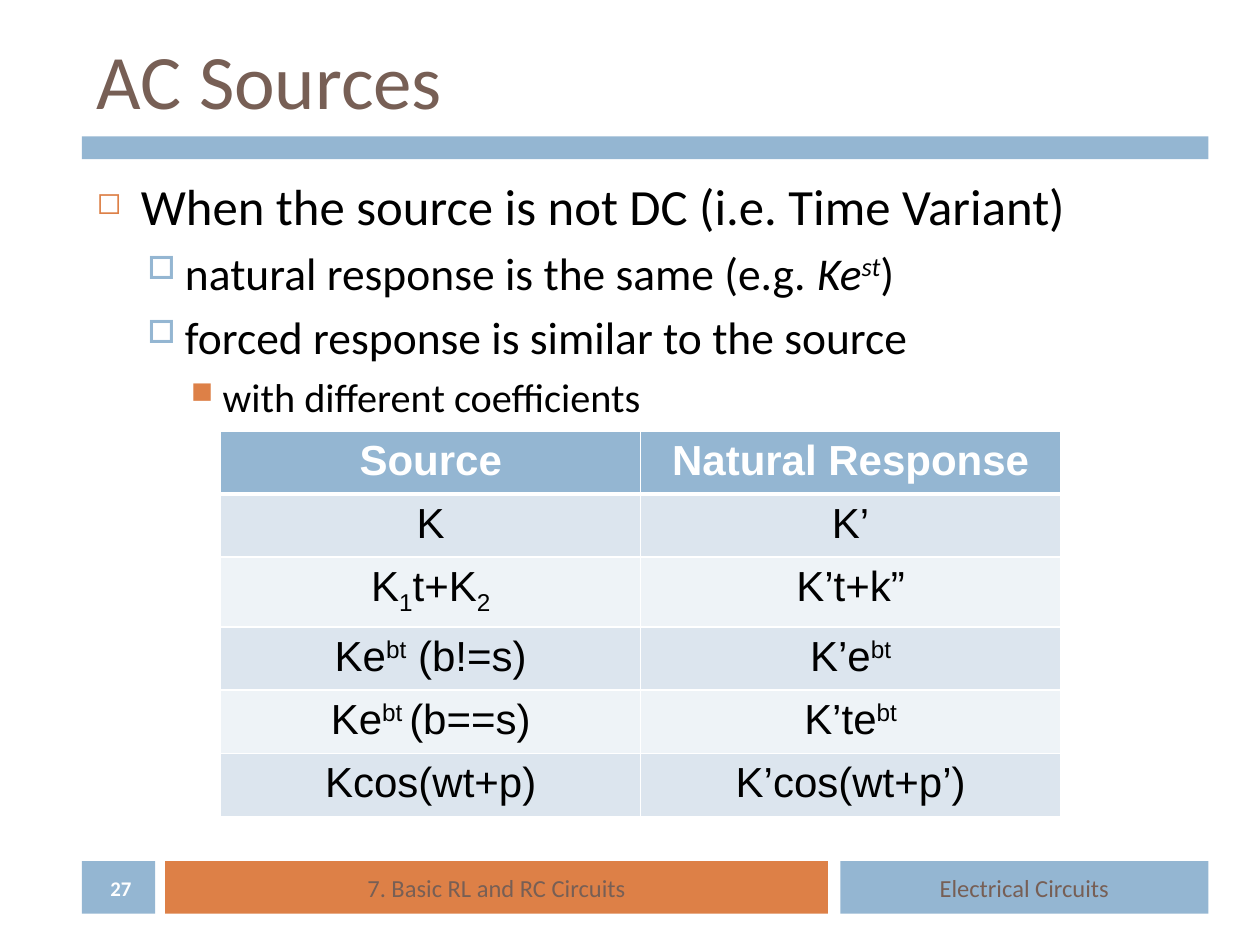
from dataclasses import dataclass

from lxml import etree
from pptx import Presentation
from pptx.dml.color import RGBColor
from pptx.enum.shapes import MSO_SHAPE
from pptx.enum.text import MSO_ANCHOR, PP_ALIGN
from pptx.oxml.ns import qn
from pptx.util import Cm, Pt

RECTANGLE = MSO_SHAPE.RECTANGLE
MIDDLE, TOP = MSO_ANCHOR.MIDDLE, MSO_ANCHOR.TOP
CENTER, LEFT = PP_ALIGN.CENTER, PP_ALIGN.LEFT


@dataclass(frozen=True)
class Theme:
    blue: str = "94B6D2"
    orange: str = "DD8047"
    brown: str = "775F55"
    black: str = "000000"
    white: str = "FFFFFF"
    bands: tuple = ("DCE5EE", "EEF3F7")
    text_font: str = "Calibri"
    table_font: str = "Arial"
    title_size: float = 44
    footer_size: float = 14
    number_size: float = 11.9
    table_size: float = 24
    body_sizes: tuple = (29, 26, 23)


THEME = Theme()
SUPER, SUB = {"baseline": 30}, {"baseline": -25}
ITALIC = {"italic": True}

LEVELS = (
    {"indent": (0.89, -0.89), "before": 7, "bullet": "◻", "color": THEME.orange, "percent": 60},
    {"indent": (1.78, -0.76), "before": 5.5, "bullet": "□", "color": THEME.blue, "percent": 70},
    {"indent": (2.54, -0.64), "before": 5, "bullet": "■", "color": THEME.orange, "percent": 75},
)
BODY = (
    (0, [("When the source is not DC (i.e. Time Variant)", {})]),
    (1, [("natural response is the same (e.g. ", {}), ("Ke", ITALIC),
         ("st", ITALIC | SUPER), (")", {})]),
    (1, [("forced response is similar to the source", {})]),
    (2, [("with different coefficients", {})]),
)
RESPONSES = (
    ([("Source", {})], [("Natural Response", {})]),
    ([("K", {})], [("K’", {})]),
    ([("K", {}), ("1", SUB), ("t+K", {}), ("2", SUB)], [("K’t+k”", {})]),
    ([("Ke", {}), ("bt", SUPER), (" (b!=s)", {})], [("K’e", {}), ("bt", SUPER)]),
    ([("Ke", {}), ("bt ", SUPER), ("(b==s)", {})], [("K’te", {}), ("bt", SUPER)]),
    ([("Kcos(wt+p)", {})], [("K’cos(wt+p’)", {})]),
)


def add_runs(paragraph, runs, size, color, font=THEME.text_font, bold=False):
    for text, extra in runs:
        run = paragraph.add_run()
        run.text = text
        values = {"name": font, "size": Pt(size), "bold": bold,
                  "italic": extra.get("italic", False)}
        for name, value in values.items():
            setattr(run.font, name, value)
        run.font.color.rgb = RGBColor.from_string(color)
        if "baseline" in extra:
            run._r.get_or_add_rPr().set("baseline", str(extra["baseline"] * 1000))


def add_bar(slide, box, color, label=None):
    shape = slide.shapes.add_shape(RECTANGLE, *map(Cm, box))
    shape.shadow.inherit = False
    shape.fill.solid()
    shape.fill.fore_color.rgb = RGBColor.from_string(color)
    shape.line.fill.background()
    if label:
        shape.text_frame.vertical_anchor = MIDDLE
        paragraph = shape.text_frame.paragraphs[0]
        paragraph.alignment = CENTER
        add_runs(paragraph, [(label, {})], THEME.footer_size, THEME.brown)


def add_text_frame(slide, box, anchor):
    frame = slide.shapes.add_textbox(*map(Cm, box)).text_frame
    frame.word_wrap = True
    frame.vertical_anchor = anchor
    return frame


def add_label(slide, box, text, size, color, alignment=LEFT, bold=False):
    paragraph = add_text_frame(slide, box, MIDDLE).paragraphs[0]
    paragraph.alignment = alignment
    add_runs(paragraph, [(text, {})], size, color, bold=bold)


def set_bullet(paragraph, level):
    style = LEVELS[level]
    paragraph.level = level
    paragraph.space_before = Pt(style["before"])
    properties = paragraph._p.get_or_add_pPr()
    for name, length in zip(("marL", "indent"), style["indent"]):
        properties.set(name, str(Cm(length)))
    color = etree.SubElement(properties, qn("a:buClr"))
    etree.SubElement(color, qn("a:srgbClr"), val=style["color"])
    etree.SubElement(properties, qn("a:buSzPct"), val=str(style["percent"] * 1000))
    etree.SubElement(properties, qn("a:buChar"), char=style["bullet"])


def add_outline(slide, box, items):
    frame = add_text_frame(slide, box, TOP)
    for index, (level, runs) in enumerate(items):
        paragraph = frame.add_paragraph() if index else frame.paragraphs[0]
        set_bullet(paragraph, level)
        add_runs(paragraph, runs, THEME.body_sizes[level], THEME.black)


def set_borders(cell, row):
    widths = {"L": 1, "R": 1, "T": 3 if row == 1 else 1, "B": 1 if row else 3}
    properties = cell._tc.get_or_add_tcPr()
    for index, (side, width) in enumerate(widths.items()):
        line = etree.Element(qn(f"a:ln{side}"), w=str(Pt(width)))
        fill = etree.SubElement(line, qn("a:solidFill"))
        etree.SubElement(fill, qn("a:srgbClr"), val=THEME.white)
        properties.insert(index, line)


def add_response_table(slide, box, rows, row_height):
    table = slide.shapes.add_table(len(rows), len(rows[0]), *map(Cm, box)).table
    for row, contents in enumerate(rows):
        table.rows[row].height = Cm(row_height)
        header = row == 0
        fill = THEME.blue if header else THEME.bands[(row - 1) % 2]
        color = THEME.white if header else THEME.black
        for column, runs in enumerate(contents):
            cell = table.cell(row, column)
            cell.fill.solid()
            cell.fill.fore_color.rgb = RGBColor.from_string(fill)
            set_borders(cell, row)
            paragraph = cell.text_frame.paragraphs[0]
            paragraph.alignment = CENTER
            add_runs(paragraph, runs, THEME.table_size, color, THEME.table_font, header)


def main():
    presentation = Presentation()
    presentation.slide_width, presentation.slide_height = Cm(25.4), Cm(19.05)
    slide = presentation.slides.add_slide(presentation.slide_layouts[6])

    footer_top, footer_height = 17.36, 1.06
    add_bar(slide, (1.65, footer_top, 1.48, footer_height), THEME.blue)
    add_bar(slide, (1.65, 2.75, 22.71, 0.46), THEME.blue)
    add_label(slide, (1.7, 0.64, 22.66, 1.9), "AC Sources", THEME.title_size, THEME.brown)
    add_outline(slide, (1.7, 3.39, 22.66, 13.55), BODY)
    add_bar(slide, (16.94, footer_top, 7.42, footer_height), THEME.blue, "Electrical Circuits")
    add_bar(slide, (3.33, footer_top, 13.36, footer_height), THEME.orange,
            "7. Basic RL and RC Circuits")
    add_label(slide, (1.7, 17.57, 1.48, 0.68), "27", THEME.number_size, THEME.white,
              CENTER, True)
    add_response_table(slide, (4.45, 8.69, 16.93, 6.24), RESPONSES, 1.04)
    presentation.save("out.pptx")


if __name__ == "__main__":
    main()
